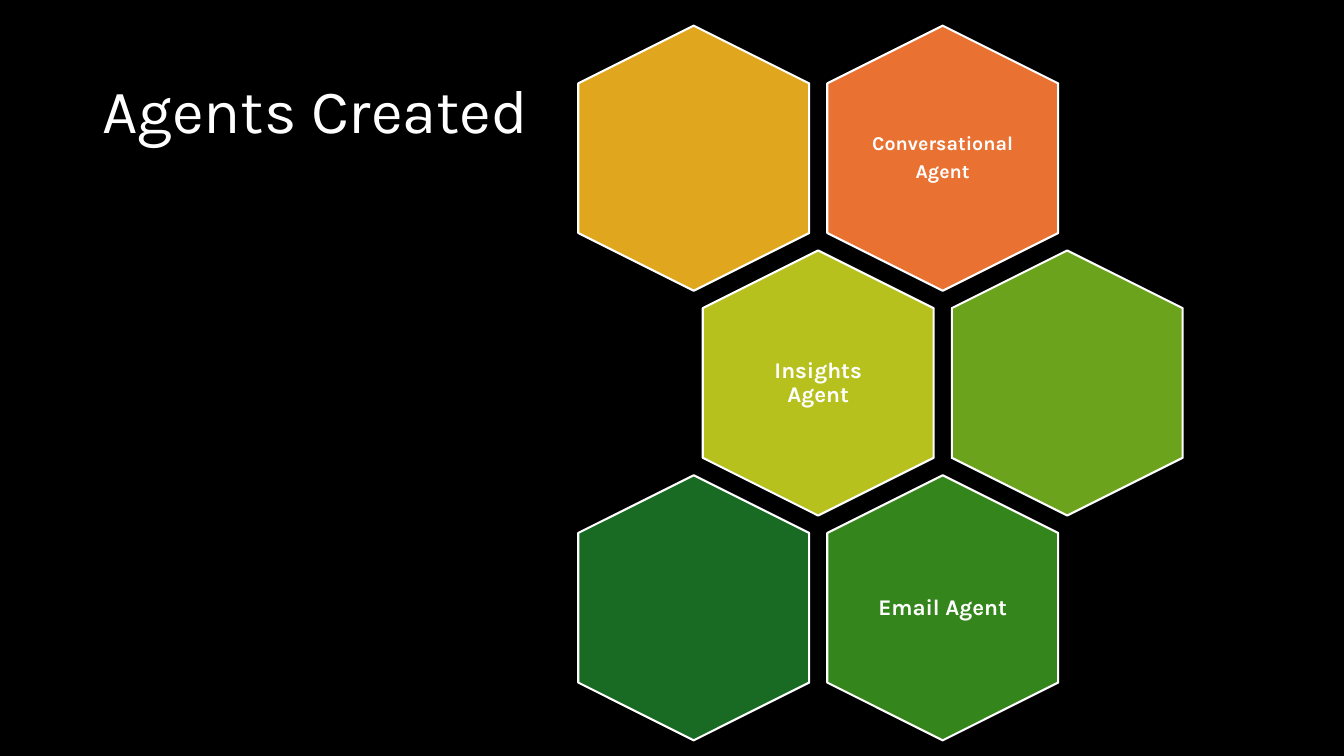
"""Build the "Agents Created" slide: a title beside a honeycomb of agents."""
from dataclasses import dataclass

import pptx
import pptx.dml.color
import pptx.enum.shapes
import pptx.enum.text
import pptx.shapes.autoshape
import pptx.slide
import pptx.text.text
import pptx.util

COLOURS: dict[str, str] = {
    "background": "000000",
    "white": "FFFFFF",
    "orange": "E97132",
    "gold": "E0A61D",
    "lime": "B7C11E",
    "leaf": "6BA31D",
    "green": "34861C",
    "forest": "196B24",
}
FONT = "Karla"
PAGE_WIDTH, PAGE_HEIGHT = 13.33, 7.5
FIRST_CENTRE_X, FIRST_CENTRE_Y = 6.88, 1.57
COLUMN_PITCH, ROW_PITCH = 2.47, 2.23
HEXAGON_LENGTH, HEXAGON_BREADTH = 2.63, 2.29
LABEL_WIDTH, LABEL_HEIGHT = 1.57, 1.81


@dataclass(frozen=True)
class Cell:
    """A honeycomb cell, with its column and row on the grid."""

    column: float
    row: int
    colour: str
    lines: tuple[str, ...] = ()
    size: int = 16
    inset: float = 0.07


CELLS: tuple[Cell, ...] = (
    Cell(1, 0, "orange", ("Conversational", "Agent"), 14, 0.06),
    Cell(0, 0, "gold"),
    Cell(0.5, 1, "lime", ("Insights Agent",)),
    Cell(1.5, 1, "leaf"),
    Cell(1, 2, "green", ("Email Agent",)),
    Cell(0, 2, "forest"),
)


def colour(name: str) -> pptx.dml.color.RGBColor:
    """Look up a named colour."""
    return pptx.dml.color.RGBColor.from_string(COLOURS[name])


def centred(x: float, y: float, width: float, height: float) -> list[pptx.util.Length]:
    """Turn a centre and a size into left, top, width and height."""
    return [pptx.util.Inches(value) for value in (x - width / 2, y - height / 2, width, height)]


def add_text_box(page: pptx.slide.Slide, place: list[pptx.util.Length]) -> pptx.text.text.TextFrame:
    """Add a wrapping, vertically centred text box."""
    frame = page.shapes.add_textbox(*place).text_frame
    frame.word_wrap = True
    frame.vertical_anchor = pptx.enum.text.MSO_ANCHOR.MIDDLE
    return frame


def add_span(para, words: str, size: int, bold: bool = False) -> None:
    """Add one white run to a paragraph."""
    para.line_spacing = 0.9
    span = para.add_run()
    span.text = words
    span.font.name = FONT
    span.font.size = pptx.util.Pt(size)
    span.font.bold = bold
    span.font.color.rgb = colour("white")


def add_title(page: pptx.slide.Slide, words: str) -> None:
    """Add the slide title."""
    place = centred(PAGE_WIDTH / 2, PAGE_HEIGHT * 0.15, 11.5, 1.45)
    add_span(add_text_box(page, place).paragraphs[0], words, 44)


def add_label(page: pptx.slide.Slide, cell: Cell, x: float, y: float) -> None:
    """Add the name of an agent over its hexagon."""
    frame = add_text_box(page, centred(x, y, LABEL_WIDTH, LABEL_HEIGHT))
    inset = pptx.util.Inches(cell.inset)
    frame.margin_left = frame.margin_right = inset
    frame.margin_top = frame.margin_bottom = inset
    for number, line in enumerate(cell.lines):
        para = frame.add_paragraph() if number else frame.paragraphs[0]
        para.alignment = pptx.enum.text.PP_ALIGN.CENTER
        para.space_after = pptx.util.Pt(cell.size * 0.35)
        add_span(para, line, cell.size, bold=True)


def add_cell(page: pptx.slide.Slide, cell: Cell) -> None:
    """Draw one upright hexagon and its label, if any."""
    x = FIRST_CENTRE_X + cell.column * COLUMN_PITCH
    y = FIRST_CENTRE_Y + cell.row * ROW_PITCH
    hexagon: pptx.shapes.autoshape.Shape = page.shapes.add_shape(
        pptx.enum.shapes.MSO_SHAPE.HEXAGON, *centred(x, y, HEXAGON_LENGTH, HEXAGON_BREADTH)
    )
    hexagon.rotation = 90
    hexagon.adjustments[0] = 0.25
    hexagon.adjustments[1] = 1.1547
    hexagon.shadow.inherit = False
    hexagon.fill.solid()
    hexagon.fill.fore_color.rgb = colour(cell.colour)
    hexagon.line.color.rgb = colour("white")
    hexagon.line.width = pptx.util.Pt(1.5)
    if cell.lines:
        add_label(page, cell, x, y)


def main() -> None:
    """Build and save the deck."""
    deck = pptx.Presentation()
    deck.slide_width = pptx.util.Inches(PAGE_WIDTH)
    deck.slide_height = pptx.util.Inches(PAGE_HEIGHT)
    page = deck.slides.add_slide(deck.slide_layouts[6])
    page.background.fill.solid()
    page.background.fill.fore_color.rgb = colour("background")
    add_title(page, "Agents Created")
    for cell in CELLS:
        add_cell(page, cell)
    deck.save("out.pptx")


if __name__ == "__main__":
    main()
